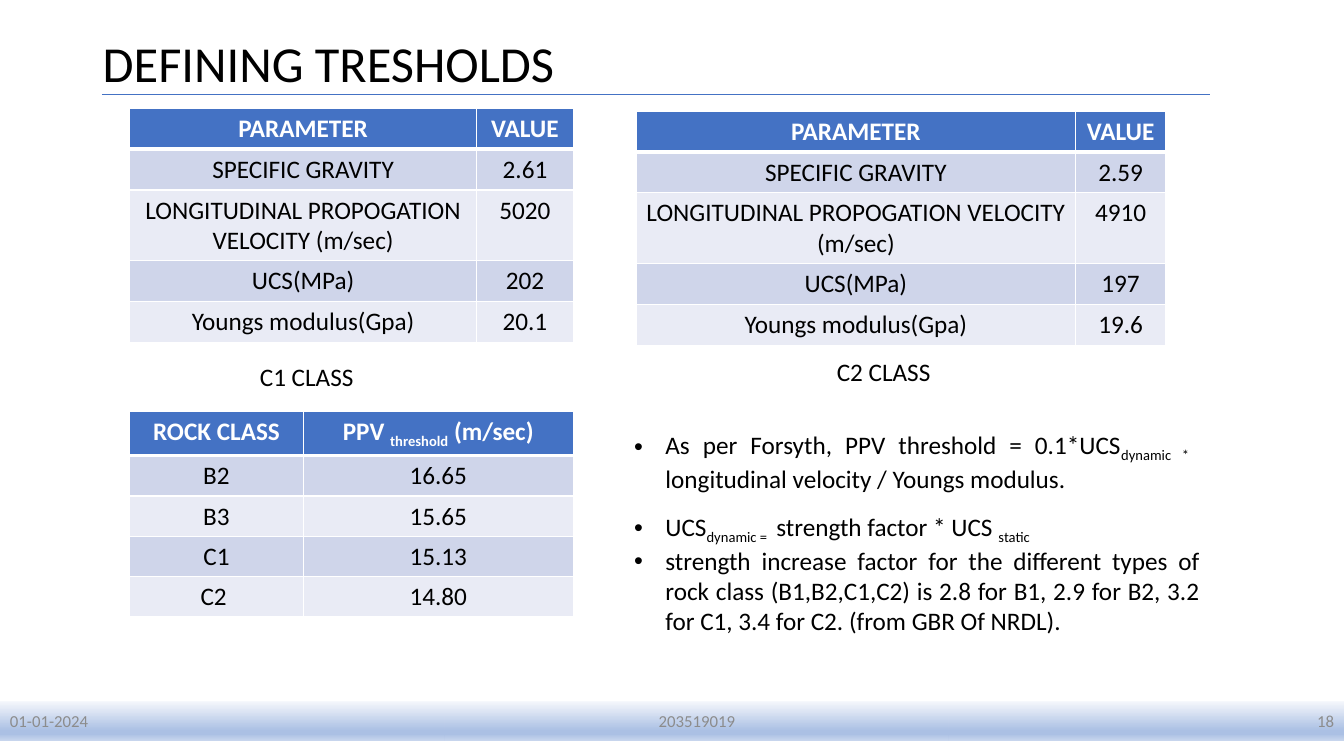
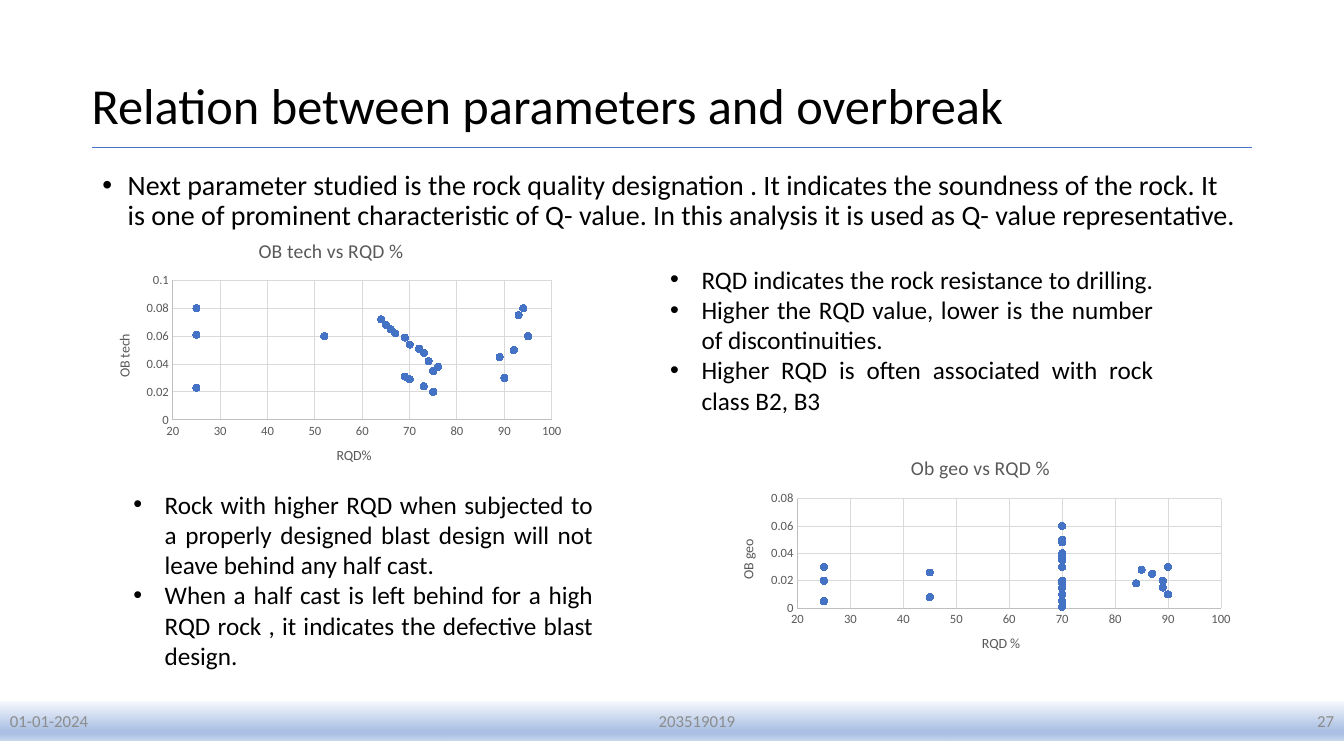
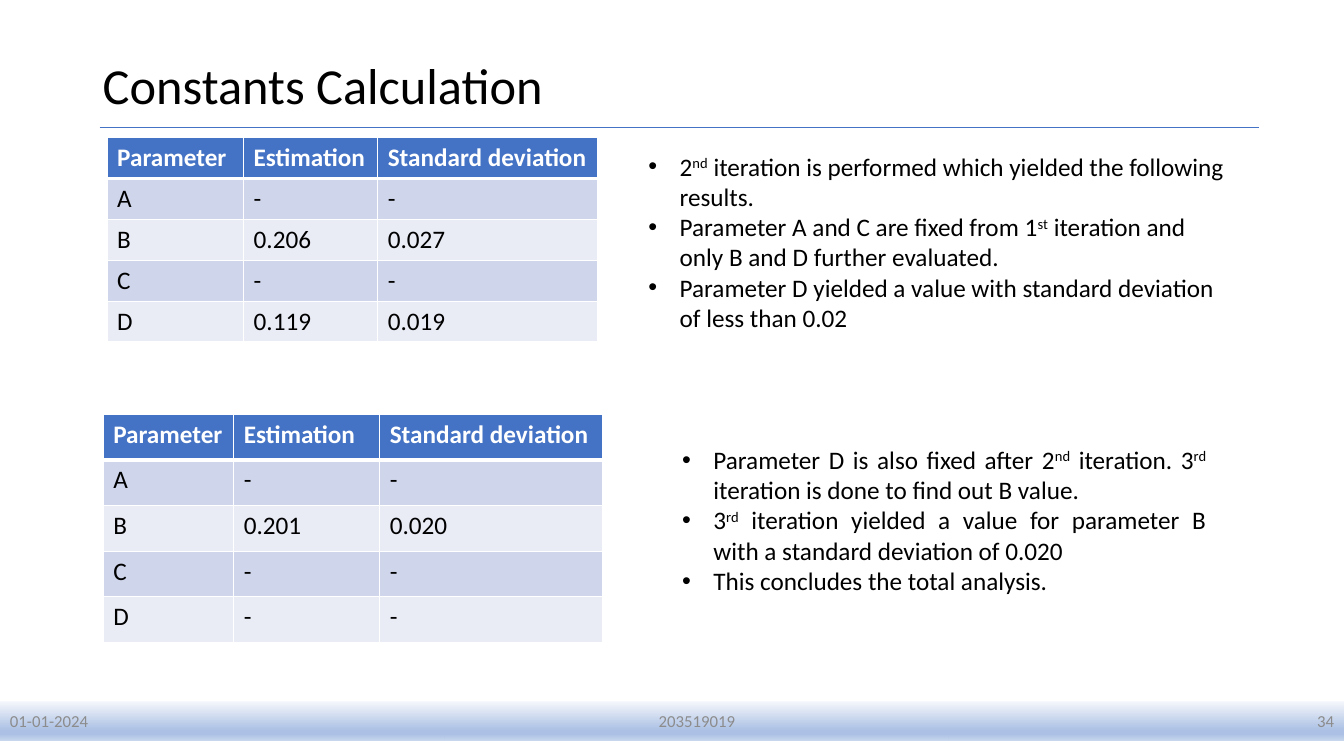
from lxml import etree
from pptx import Presentation
from pptx.chart.data import XyChartData
from pptx.dml.color import RGBColor
from pptx.enum.chart import XL_CHART_TYPE, XL_MARKER_STYLE, XL_TICK_MARK
from pptx.enum.shapes import MSO_CONNECTOR, MSO_SHAPE
from pptx.enum.text import MSO_ANCHOR, PP_ALIGN
from pptx.oxml import parse_xml
from pptx.oxml.ns import nsdecls, qn
from pptx.util import Cm, Pt

LEFT, CENTER, RIGHT, JUSTIFY = PP_ALIGN.LEFT, PP_ALIGN.CENTER, PP_ALIGN.RIGHT, PP_ALIGN.JUSTIFY
MIDDLE = MSO_ANCHOR.MIDDLE
RECTANGLE = MSO_SHAPE.RECTANGLE
STRAIGHT = MSO_CONNECTOR.STRAIGHT
SCATTER = XL_CHART_TYPE.XY_SCATTER
CIRCLE = XL_MARKER_STYLE.CIRCLE
NO_TICK = XL_TICK_MARK.NONE

FONT = "Calibri"
BLACK, WHITE, BLUE = "000000", "FFFFFF", "4472C4"
ROW_FILLS = ("CFD5EA", "E9EBF5")
FOOTER_GREY, CHART_GREY, AXIS_GREY, GRID_GREY = "8C8C8C", "595959", "BFBFBF", "D9D9D9"
BAND_STOPS = ((0, "F6F8FC"), (74, "ABC0E4"), (83, "ABC0E4"), (100, "C7D5ED"))
BAND_OVERLAP = 0.03
SUB, SUPER = -25, 30

TECH_RQD = (25, 25, 25, 52, 75, 73, 70, 69, 75, 76, 74, 73, 72, 70, 69, 67, 66, 65, 64,
            90, 89, 92, 95, 94, 93)
TECH_BREAK = (0.023, 0.061, 0.08, 0.06, 0.02, 0.024, 0.029, 0.031, 0.035, 0.038, 0.042,
              0.048, 0.051, 0.054, 0.059, 0.062, 0.065, 0.068, 0.072, 0.03, 0.045, 0.05,
              0.06, 0.08, 0.075)
GEO_RQD = (25,) * 3 + (45,) * 2 + (70,) * 13 + (90, 89, 84, 89, 87, 85, 90)
GEO_BREAK = (0.005, 0.02, 0.03, 0.008, 0.026, 0.001, 0.005, 0.01, 0.015, 0.018, 0.02, 0.03,
             0.035, 0.038, 0.04, 0.048, 0.05, 0.06, 0.01, 0.015, 0.018, 0.02, 0.025, 0.028,
             0.03)


def colour(value):
    """Turn a hex string into a colour."""
    return RGBColor.from_string(value)


def style_font(font, size, ink, bold=False):
    """Set the face, size, colour and weight of a font."""
    font.name, font.size, font.bold = FONT, Pt(size), bold
    font.color.rgb = colour(ink)


def write(para, parts, size=18, ink=BLACK, bold=False):
    """Add runs; a part is plain text or a pair of text and baseline shift."""
    for part in [parts] if isinstance(parts, str) else parts:
        words, shift = (part, 0) if isinstance(part, str) else part
        span = para.add_run()
        span.text = words
        style_font(span.font, size, ink, bold)
        if shift:
            span._r.get_or_add_rPr().set("baseline", str(shift * 1000))


def add_text(page, box, parts, size=18):
    """Place a wrapped text box with one paragraph and return its frame."""
    frame = page.shapes.add_textbox(*map(Cm, box)).text_frame
    frame.word_wrap = True
    write(frame.paragraphs[0], parts, size)
    return frame


def add_bullets(page, box, items, align=JUSTIFY, size=18, indent=0.79, spacings=()):
    """Place a bulleted list, with optional line spacing by item."""
    frame = page.shapes.add_textbox(*map(Cm, box)).text_frame
    frame.word_wrap = True
    for index, item in enumerate(items):
        para = frame.add_paragraph() if index else frame.paragraphs[0]
        props = para._p.get_or_add_pPr()
        props.set("marL", str(Cm(indent)))
        props.set("indent", str(-Cm(indent)))
        etree.SubElement(props, qn("a:buFont")).set("typeface", "Arial")
        etree.SubElement(props, qn("a:buChar")).set("char", "•")
        para.alignment = align
        if spacings:
            para.line_spacing = spacings[index]
        write(para, item, size)


def add_title(page, left, top, words, rule_left, rule_top, rule_width):
    """Place the slide title and the thin rule below it."""
    frame = add_text(page, (left, top, 29.21, 2), words, 36)
    frame.vertical_anchor = MIDDLE
    frame.paragraphs[0].line_spacing = 0.9
    rule = page.shapes.add_connector(
        STRAIGHT, Cm(rule_left), Cm(rule_top), Cm(rule_left + rule_width), Cm(rule_top))
    rule.line.color.rgb = colour(BLUE)
    rule.line.width = Pt(0.5)
    etree.SubElement(rule._element.spPr, qn("a:effectLst"))


def add_footer(page, number):
    """Place the three shaded footer cells, overlapping slightly to hide seams."""
    stops = "".join(
        f'<a:gs pos="{place * 1000}"><a:srgbClr val="{shade}"/></a:gs>'
        for place, shade in BAND_STOPS)
    left = 0
    cells = ((11.2, "01-01-2024", LEFT), (12.7, "203519019", CENTER), (9.94, number, RIGHT))
    for width, words, align in cells:
        band = page.shapes.add_shape(
            RECTANGLE, Cm(left), Cm(17.66), Cm(width + BAND_OVERLAP), Cm(1.01))
        band._element.spPr.append(parse_xml(
            f'<a:gradFill {nsdecls("a")} rotWithShape="1"><a:gsLst>{stops}</a:gsLst>'
            '<a:lin ang="5400000" scaled="0"/></a:gradFill>'))
        band.line.fill.background()
        band.shadow.inherit = False
        band.text_frame.vertical_anchor = MIDDLE
        para = band.text_frame.paragraphs[0]
        para.alignment = align
        write(para, words, 12, FOOTER_GREY)
        left += width


def add_borders(cell, row):
    """Give a cell white edges, with a thick one under the header."""
    props = cell._tc.get_or_add_tcPr()
    for side in "LRTB":
        thick = (row, side) in ((0, "B"), (1, "T"))
        props.append(parse_xml(
            f'<a:ln{side} {nsdecls("a")} w="{Pt(3 if thick else 1)}"><a:solidFill>'
            f'<a:srgbClr val="{WHITE}"/></a:solidFill></a:ln{side}>'))


def add_grid(page, left, top, widths, row_height, rows, align):
    """Place a table with a blue header and banded rows."""
    grid = page.shapes.add_table(
        len(rows), len(widths), Cm(left), Cm(top),
        Cm(sum(widths)), Cm(row_height * len(rows))).table
    for column, width in zip(grid.columns, widths):
        column.width = Cm(width)
    for row, values in enumerate(rows):
        grid.rows[row].height = Cm(row_height)
        header = row == 0
        for column, value in enumerate(values):
            cell = grid.cell(row, column)
            add_borders(cell, row)
            cell.fill.solid()
            cell.fill.fore_color.rgb = colour(BLUE if header else ROW_FILLS[(row - 1) % 2])
            para = cell.text_frame.paragraphs[0]
            para.alignment = align
            write(para, value, ink=WHITE if header else BLACK, bold=header)


def style_axis(axis, name, low, high, step):
    """Set the title, scale, lines and labels of a chart axis."""
    axis.minimum_scale, axis.maximum_scale, axis.major_unit = low, high, step
    axis.major_tick_mark = axis.minor_tick_mark = NO_TICK
    axis.has_major_gridlines = True
    for line, ink in ((axis.format.line, AXIS_GREY), (axis.major_gridlines.format.line, GRID_GREY)):
        line.color.rgb = colour(ink)
        line.width = Pt(0.75)
    axis.tick_labels.number_format = "General"
    axis.tick_labels.number_format_is_linked = False
    style_font(axis.tick_labels.font, 9, CHART_GREY)
    write(axis.axis_title.text_frame.paragraphs[0], name, 10, CHART_GREY)


def add_scatter(page, box, title, names, top_value, points, layout):
    """Place a scatter chart of overbreak against RQD."""
    data = XyChartData()
    series = data.add_series("Series 1")
    for x, y in points:
        series.add_data_point(x, y)
    chart = page.shapes.add_chart(SCATTER, *map(Cm, box), data).chart
    style_font(chart.font, 10, BLACK)
    chart.has_legend = False
    write(chart.chart_title.text_frame.paragraphs[0], title, 14, CHART_GREY)
    chart.chart_title.include_in_layout = False
    style_axis(chart.category_axis, names[0], 20, 100, 10)
    style_axis(chart.value_axis, names[1], 0, top_value, 0.02)
    plot = chart.plots[0]
    plot.vary_by_categories = False
    drawn = plot.series[0]
    drawn.format.line.fill.background()
    drawn.marker.style, drawn.marker.size = CIRCLE, 5
    drawn.marker.format.fill.solid()
    drawn.marker.format.fill.fore_color.rgb = colour(BLUE)
    drawn.marker.format.line.color.rgb = colour(BLUE)
    area = chart._chartSpace.chart.plotArea
    for old in area.findall(qn("c:layout")):
        area.remove(old)
    sizes = "".join(f'<c:{key} val="{part}"/>' for key, part in zip("xywh", layout))
    area.insert(0, parse_xml(
        f'<c:layout {nsdecls("c")}><c:manualLayout><c:layoutTarget val="inner"/>'
        f'<c:xMode val="edge"/><c:yMode val="edge"/>{sizes}</c:manualLayout></c:layout>'))


def class_rows(gravity, velocity, strength, modulus):
    """List the table rows for one rock class."""
    return [("PARAMETER", "VALUE"), ("SPECIFIC GRAVITY", gravity),
            ("LONGITUDINAL PROPOGATION VELOCITY (m/sec)", velocity),
            ("UCS(MPa)", strength), ("Youngs modulus(Gpa)", modulus)]


def constant_rows(**known):
    """List the rows of an iteration, with dashes for fixed constants."""
    return [("Parameter", "Estimation", "Standard deviation"),
            *((name, *known.get(name, "--")) for name in "ABCD")]


def build_thresholds(page):
    """Fill the slide on thresholds."""
    add_title(page, 2.34, 0.66, "DEFINING TRESHOLDS", 2.57, 2.37, 27.93)
    add_grid(page, 3.27, 2.73, (8.74, 2.44), 1.03,
             class_rows("2.61", "5020", "202", "20.1"), CENTER)
    add_grid(page, 16.03, 2.8, (11.08, 2.26), 1.03,
             class_rows("2.59", "4910", "197", "19.6"), CENTER)
    add_text(page, (6.3, 8.97, 4.75, 1.02), "C1 CLASS")
    add_text(page, (20.84, 8.85, 5.9, 1.02), "C2 CLASS")
    add_grid(page, 3.27, 10.36, (4.37, 6.81), 1.01, [
        ("ROCK CLASS", ["PPV ", ("threshold", SUB), " (m/sec)"]),
        ("B2", "16.65"), ("B3", "15.65"), ("C1", "15.13"), ("C2 ", "14.80")], CENTER)
    add_bullets(page, (15.73, 10.69, 14.76, 5.26), [
        ["As per Forsyth, PPV threshold = 0.1*UCS", ("dynamic * ", SUB),
         " longitudinal velocity / Youngs modulus."],
        ["UCS", ("dynamic = ", SUB), " strength factor * UCS ", ("static ", SUB)],
        "strength increase factor for the different types of rock class (B1,B2,C1,C2) is "
        "2.8 for B1, 2.9 for B2, 3.2 for C1, 3.4 for C2. (from GBR Of NRDL).",
    ], spacings=(1.0, 1.5, 1.0))


def build_relation(page):
    """Fill the slide on overbreak and rock quality."""
    add_title(page, 2.06, 1.73, "Relation between parameters and overbreak", 2.33, 3.71, 29.21)
    add_bullets(page, (2.33, 4.19, 29.21, 1.8), [
        "Next parameter studied is the rock quality designation . It indicates the soundness "
        "of the rock. It is one of prominent characteristic of Q- value. In this analysis it "
        "is used as Q- value representative."], LEFT, 20, 0.64, (0.9,))
    add_scatter(page, (2.3, 5.61, 12.09, 6.63), "OB tech vs RQD %", ("RQD%", "OB tech"), 0.1,
                zip(TECH_RQD, TECH_BREAK), (0.17, 0.22, 0.79, 0.53))
    add_scatter(page, (18.12, 11.1, 13.18, 5.87), "Ob geo vs RQD %", ("RQD %", "OB geo"), 0.08,
                zip(GEO_RQD, GEO_BREAK), (0.15, 0.25, 0.81, 0.47))
    add_bullets(page, (16.64, 6.53, 12.68, 4.11), [
        "RQD indicates the rock resistance to drilling. ",
        "Higher the RQD value, lower is the number of discontinuities.",
        "Higher RQD is often associated with rock class B2, B3"])
    add_bullets(page, (3.11, 12.2, 12.09, 4.88), [
        "Rock with higher RQD when subjected to a properly designed blast design will not "
        "leave behind any half cast.",
        "When a half cast is left behind for a high RQD rock , it indicates the defective "
        "blast design."])


def build_constants(page):
    """Fill the slide on the constants."""
    add_title(page, 2.34, 1.22, "Constants Calculation", 2.51, 3.2, 29.21)
    add_grid(page, 2.7, 3.47, (3.44, 3.38, 5.55), 1.03,
             constant_rows(B=("0.206", "0.027"), D=("0.119", "0.019")), LEFT)
    add_grid(page, 2.6, 10.44, (3.29, 3.68, 5.61), 1.15,
             constant_rows(B=("0.201", "0.020")), LEFT)
    add_bullets(page, (16.09, 3.68, 15.09, 4.88), [
        ["2", ("nd", SUPER), " iteration is performed which yielded the following results."],
        ["Parameter A and C are fixed from 1", ("st", SUPER),
         " iteration and only B and D further evaluated."],
        "Parameter D yielded a value with standard deviation of less than 0.02"], LEFT)
    add_bullets(page, (16.94, 11.07, 13.71, 4.11), [
        ["Parameter D is also fixed after 2", ("nd", SUPER), " iteration. 3", ("rd", SUPER),
         " iteration is done to find out B value."],
        ["3", ("rd", SUPER),
         " iteration yielded a value for parameter B with a standard deviation of 0.020 "],
        "This concludes the total analysis."])


def main():
    """Build and save the deck."""
    deck = Presentation()
    deck.slide_width, deck.slide_height = Cm(33.87), Cm(19.05)
    builders = ((build_thresholds, "18"), (build_relation, "27"), (build_constants, "34"))
    for build, number in builders:
        page = deck.slides.add_slide(deck.slide_layouts[6])
        build(page)
        add_footer(page, number)
    deck.save("out.pptx")


if __name__ == "__main__":
    main()
